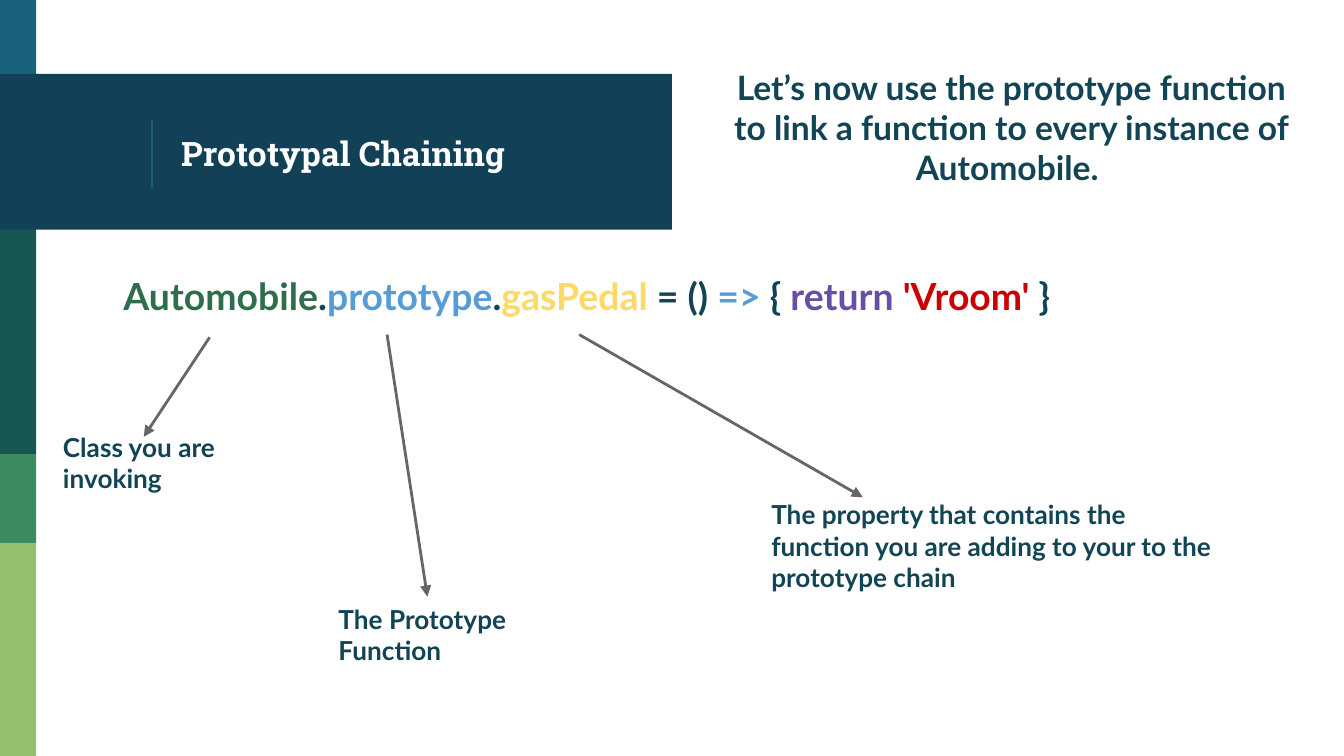
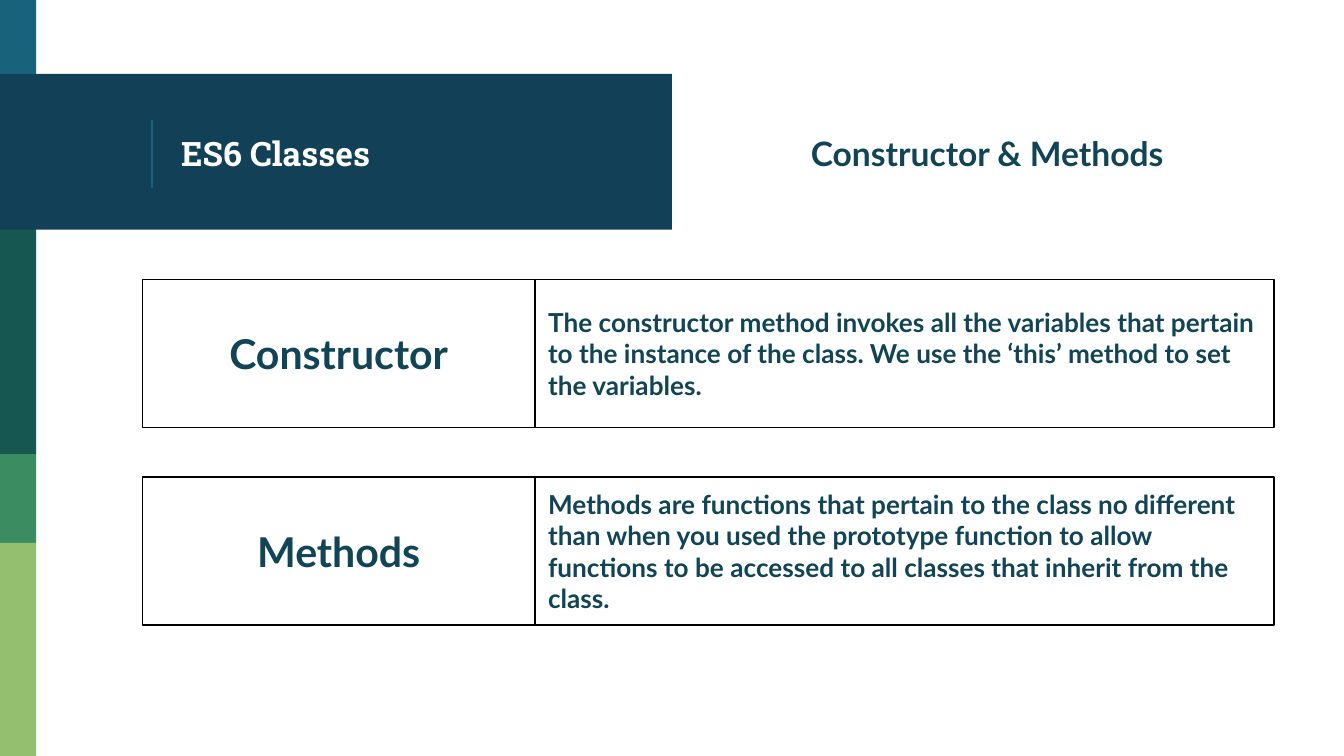
"""Build two lesson slides on prototypal chaining and ES6 classes."""
from lxml.etree import SubElement
from pptx import Presentation
from pptx.dml.color import RGBColor
from pptx.enum.shapes import MSO_CONNECTOR as Connector, MSO_SHAPE as Shape
from pptx.enum.text import MSO_ANCHOR as Anchor, PP_ALIGN as Align
from pptx.oxml.ns import qn
from pptx.util import Inches, Pt

WHITE = RGBColor(0xFF, 0xFF, 0xFF)
BLACK = RGBColor(0x00, 0x00, 0x00)
GREY = RGBColor(0x66, 0x66, 0x66)
INK = RGBColor(0x11, 0x44, 0x54)
NAVY = RGBColor(0x12, 0x40, 0x57)
TEAL = RGBColor(0x18, 0x63, 0x7B)
PINE = RGBColor(0x16, 0x57, 0x51)
GREEN = RGBColor(0x3B, 0x8D, 0x61)
LIME = RGBColor(0x94, 0xBF, 0x6E)
CLASS_GREEN = RGBColor(0x2E, 0x6E, 0x4B)
KEYWORD_BLUE = RGBColor(0x56, 0x9C, 0xD6)
PROPERTY_YELLOW = RGBColor(0xFF, 0xD9, 0x66)
RETURN_PURPLE = RGBColor(0x67, 0x4E, 0xA7)
STRING_RED = RGBColor(0xCC, 0x00, 0x00)

WIDTH, HEIGHT = 10, 5.625
STRIP_WIDTH = 0.27
STRIP = [(0, 0.58, TEAL), (1.7, 3.38, PINE), (3.38, 4.04, GREEN), (4.04, HEIGHT, LIME)]
TITLE_BAND = (0, 0.55, WIDTH / 2, 1.16)
TITLE_RULE = ((1.13, 0.89), (1.13, 1.4))
TITLE_AREA = (1.25, 0.58, 3.51, 1.12)

TITLE = {"name": "Roboto Slab", "size": Pt(18), "bold": True}
HEADING = {"name": "Lato", "size": Pt(18), "bold": True}
CODE = {"name": "Lato", "size": Pt(20), "bold": True}
TERM = {"name": "Lato", "size": Pt(22), "bold": True}
NOTE = {"name": "Lato", "size": Pt(14), "bold": True}
MIDDLE = {"vertical_anchor": Anchor.MIDDLE}

CHAINING = {
    "title": "Prototypal Chaining",
    "heading": "Let’s now use the prototype function to link a function to every instance of Automobile. ",
    "heading_area": (5.24, 0.19, 4.57, 1.51),
    "code_area": (0.82, 1.93, 8.58, 1.35),
    "code": [
        ("Automobile", CLASS_GREEN), (".", INK), ("prototype", KEYWORD_BLUE), (".", INK),
        ("gasPedal", PROPERTY_YELLOW), (" = () ", INK), ("=>", KEYWORD_BLUE), (" { ", INK),
        ("return ", RETURN_PURPLE), ("'Vroom'", STRING_RED), (" }", INK),
    ],
    "callouts": [
        ("Class you are invoking", (0.37, 3.11, 2.05, 0.57), (1.56, 2.51), (1.07, 3.25)),
        ("The Prototype Function", (2.42, 4.39, 2.05, 0.65), (2.88, 2.49), (3.18, 4.44)),
        ("The property that contains the function you are adding to your to the prototype chain",
         (5.64, 3.61, 3.51, 0.78), (4.31, 2.49), (6.42, 3.7)),
    ],
}
CLASSES = {
    "title": "ES6 Classes",
    "heading": "Constructor & Methods",
    "heading_area": (5.19, 0.59, 4.31, 1.1),
    "definitions": [
        ("Constructor", "The constructor method invokes all the variables that pertain to the "
         "instance of the class. We use the ‘this’ method to set the variables."),
        ("Methods", "Methods are functions that pertain to the class no different than when you "
         "used the prototype function to allow functions to be accessed to all classes that "
         "inherit from the class."),
    ],
}
GRID_LEFT, GRID_TOP = 1.06, 2.08
TERM_WIDTH, MEANING_WIDTH = 2.92, 5.5
ROW_HEIGHT, ROW_STEP = 1.1, 1.47


def apply(target, values):
    for name, value in values.items():
        setattr(target, name, value)


def write(shape, spans, font, align=Align.LEFT, **frame_values):
    frame = shape.text_frame
    margins = dict.fromkeys(
        ("margin_left", "margin_top", "margin_right", "margin_bottom"), Inches(0.1))
    apply(frame, {"word_wrap": True, "vertical_anchor": Anchor.TOP, **margins, **frame_values})
    para = frame.paragraphs[0]
    para.alignment = align
    for text, color in spans:
        span = para.add_run()
        span.text = text
        apply(span.font, font)
        span.font.color.rgb = color


def add_text(page, area, spans, font, align=Align.LEFT, **frame_values):
    box = page.shapes.add_textbox(*map(Inches, area))
    write(box, spans, font, align, **frame_values)


def add_rect(page, area, fill=None, line=None):
    rect = page.shapes.add_shape(Shape.RECTANGLE, *map(Inches, area))
    rect.shadow.inherit = False
    if fill is None:
        rect.fill.background()
    else:
        rect.fill.solid()
        rect.fill.fore_color.rgb = fill
    if line is None:
        rect.line.fill.background()
    else:
        rect.line.color.rgb = line
        rect.line.width = Pt(0.75)
    return rect


def add_line(page, start, end, color, width, arrow=False):
    line = page.shapes.add_connector(Connector.STRAIGHT, *map(Inches, start + end))
    line.line.color.rgb = color
    line.line.width = Pt(width)
    properties = line._element.spPr
    if arrow:
        SubElement(properties.find(qn("a:ln")), qn("a:tailEnd"), type="triangle")
    SubElement(properties, qn("a:effectLst"))


def add_page(deck, content):
    page = deck.slides.add_slide(deck.slide_layouts[6])
    for top, bottom, color in STRIP:
        add_rect(page, (0, top, STRIP_WIDTH, bottom - top), color)
    add_rect(page, TITLE_BAND, NAVY)
    add_line(page, *TITLE_RULE, TEAL, 0.75)
    add_text(page, TITLE_AREA, [(content["title"], WHITE)], TITLE, **MIDDLE)
    add_text(page, content["heading_area"], [(content["heading"], INK)], HEADING,
             Align.CENTER, **MIDDLE)
    return page


def add_chaining(deck):
    page = add_page(deck, CHAINING)
    add_text(page, CHAINING["code_area"], CHAINING["code"], CODE)
    for label, area, start, end in CHAINING["callouts"]:
        add_line(page, start, end, GREY, 1.5, arrow=True)
        add_text(page, area, [(label, INK)], NOTE)


def add_classes(deck):
    page = add_page(deck, CLASSES)
    for row, (term, meaning) in enumerate(CLASSES["definitions"]):
        top = GRID_TOP + row * ROW_STEP
        cells = [
            (term, GRID_LEFT, TERM_WIDTH, TERM, Align.CENTER),
            (meaning, GRID_LEFT + TERM_WIDTH, MEANING_WIDTH, NOTE, Align.LEFT),
        ]
        for text, left, width, font, align in cells:
            cell = add_rect(page, (left, top, width, ROW_HEIGHT), line=BLACK)
            write(cell, [(text, INK)], font, align, **MIDDLE)


def main():
    deck = Presentation()
    deck.slide_width, deck.slide_height = Inches(WIDTH), Inches(HEIGHT)
    add_chaining(deck)
    add_classes(deck)
    deck.save("out.pptx")


if __name__ == "__main__":
    main()
